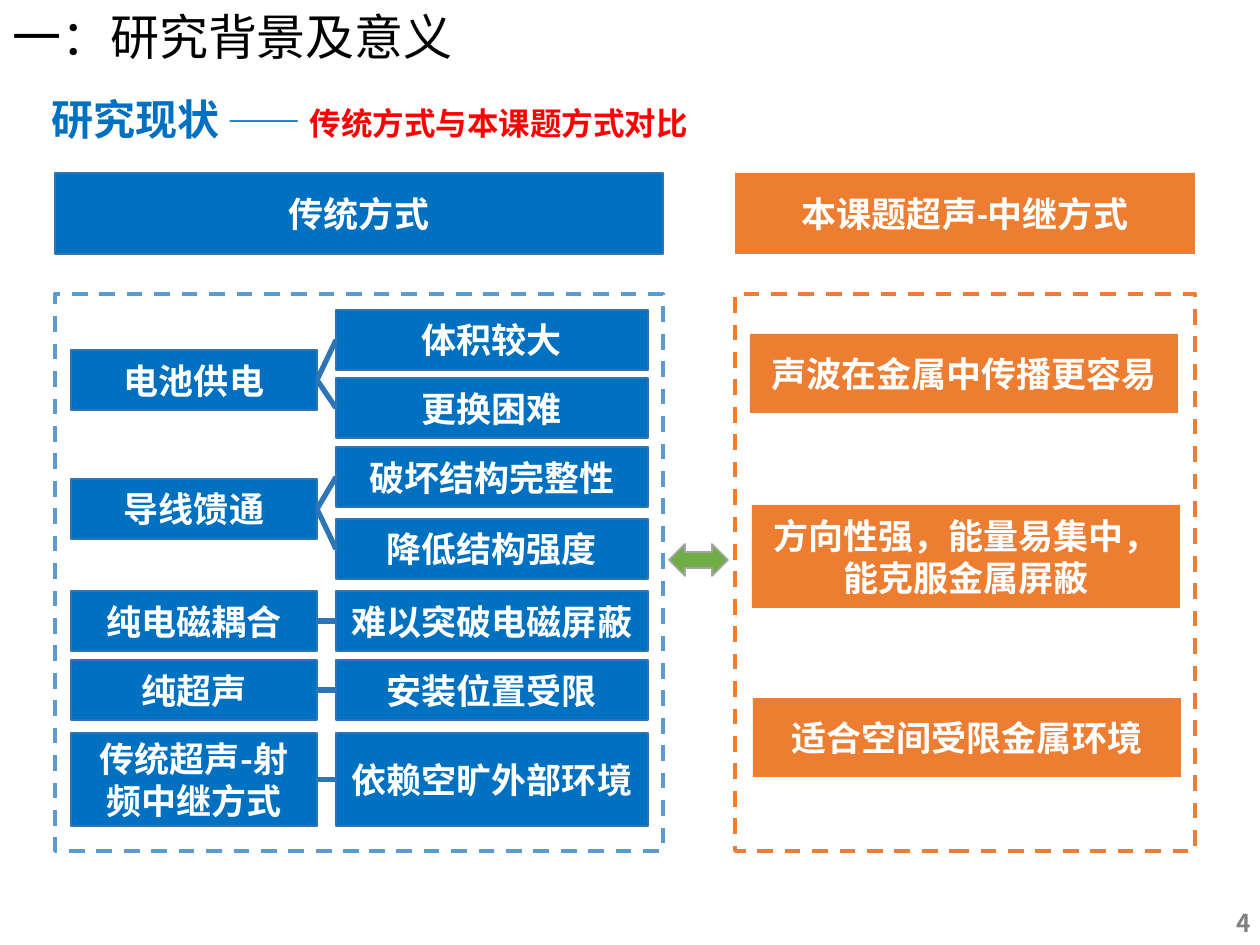
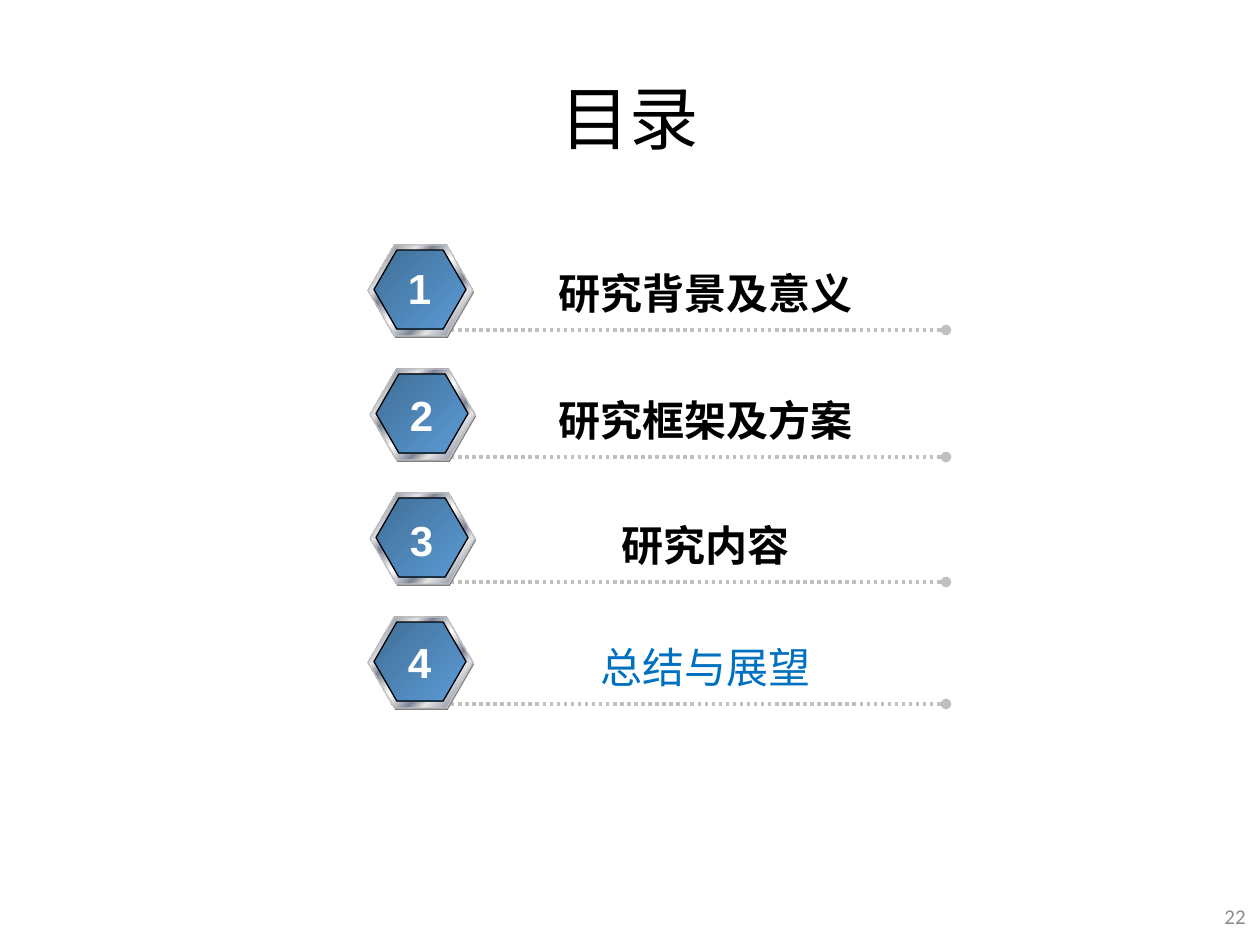
from lxml.etree import SubElement
from pptx import Presentation
from pptx.dml.color import RGBColor
from pptx.enum.dml import MSO_LINE as Dash
from pptx.enum.shapes import MSO_CONNECTOR as Link, MSO_SHAPE as Form
from pptx.enum.text import MSO_ANCHOR as Anchor, PP_ALIGN as Align
from pptx.oxml.ns import qn
from pptx.util import Emu, Pt

SCALE = 914400 / 126
CJK, ARIAL, CALIBRI = "Noto Sans CJK SC", "Arial", "Calibri"
WHITE, BLACK = RGBColor(255, 255, 255), RGBColor(0, 0, 0)
BLUE, EDGE = RGBColor(0, 112, 192), RGBColor(46, 117, 182)
SKY, STEEL = RGBColor(91, 155, 213), RGBColor(65, 111, 152)
ORANGE, GREEN = RGBColor(237, 125, 49), RGBColor(112, 173, 71)
RED = RGBColor(255, 0, 0)
GREY, SILVER = RGBColor(128, 128, 128), RGBColor(192, 192, 192)
ASH, PALE = RGBColor(165, 165, 165), RGBColor(140, 140, 140)
LIGHT, SHADE = RGBColor(230, 230, 230), RGBColor(125, 132, 150)

METAL = [(0, LIGHT), (8, SHADE), (26, LIGHT), (34, SHADE), (46, LIGHT), (50, WHITE),
         (54, LIGHT), (66, SHADE), (74, LIGHT), (92, SHADE), (100, LIGHT)]
GLOSS = [(0, STEEL), (100, SKY)]

METHODS = [
    (56, 60, "电池供电", [(16, "体积较大"), (84, "更换困难")]),
    (185, 60, "导线馈通", [(153, "破坏结构完整性"), (225, "降低结构强度")]),
    (297, 60, "纯电磁耦合", [(297, "难以突破电磁屏蔽")]),
    (366, 60, "纯超声", [(366, "安装位置受限")]),
    (439, 93, "传统超声-射频中继方式", [(439, "依赖空旷外部环境")]),
]
POINTS = [
    (15, 40, 79, "声波在金属中传播更容易"),
    (17, 211, 103, "方向性强，能量易集中，能克服金属屏蔽"),
    (18, 404, 79, "适合空间受限金属环境"),
]
TOPICS = [
    (368, 330, "研究背景及意义", BLACK, True),
    (370, 457, "研究框架及方案", BLACK, True),
    (370, 582, "研究内容", BLACK, True),
    (368, 704, "总结与展望", BLUE, False),
]


def px(*sizes):
    """Turn pixel lengths into EMU."""
    return [Emu(round(size * SCALE)) for size in sizes]


def style(run, size, face, color, bold=False):
    """Format one run, with its East Asian font."""
    font = run.font
    font.size, font.name, font.bold = Pt(size), face, bold
    font.color.rgb = color
    SubElement(run.font._element, qn("a:ea"), typeface=CJK)


def write(shape, text, *look, align=Align.CENTER, anchor=Anchor.MIDDLE, wrap=True):
    """Put one formatted paragraph into a shape and return it."""
    frame = shape.text_frame
    frame.text = text
    frame.word_wrap, frame.vertical_anchor = wrap, anchor
    para = frame.paragraphs[0]
    para.alignment = align
    style(para.runs[0], *look)
    return para


def label(slide, box, text, *look, **place):
    """Add a text box and return its paragraph."""
    return write(slide.shapes.add_textbox(*px(*box)), text, *look, **place)


def block(shapes, box, fill=None, edge=None, width=1, form=Form.RECTANGLE):
    """Add a flat preset shape."""
    shape = shapes.add_shape(form, *px(*box))
    shape.shadow.inherit = False
    if fill is None:
        shape.fill.background()
    else:
        shape.fill.solid()
        shape.fill.fore_color.rgb = fill
    if edge is None:
        shape.line.fill.background()
    else:
        shape.line.color.rgb, shape.line.width = edge, Pt(width)
    return shape


def line(slide, ends, color, width):
    """Add a straight connector without a shadow."""
    link = slide.shapes.add_connector(Link.STRAIGHT, *px(*ends))
    link.line.color.rgb, link.line.width = color, Pt(width)
    SubElement(link._element.spPr, qn("a:effectLst"))
    return link


def blend(shape, stops):
    """Fill a shape with a diagonal gradient."""
    shape.fill.gradient()
    shape.fill.gradient_angle = 315
    track = shape._element.spPr.find(qn("a:gradFill")).find(qn("a:gsLst"))
    for old in list(track):
        track.remove(old)
    for spot, color in stops:
        stop = SubElement(track, qn("a:gs"), pos=str(spot * 1000))
        SubElement(stop, qn("a:srgbClr"), val=str(color))


def panel(slide, left, width, title, face, fill, edge, frame):
    """Draw a column's header and its dashed frame."""
    head = block(slide.shapes, (left, 173, width, 81), fill, edge)
    write(head, title, 20, face, WHITE, True)
    border = block(slide.shapes, (left, 294, width, 557), None, frame, 2.25)
    border.line.dash_style = Dash.DASH


def methods(slide, left, top):
    """Draw each method joined to its drawbacks."""
    def cell(x, y, width, height, text):
        """Draw one blue cell."""
        box = block(slide.shapes, (left + x, top + y, width, height), BLUE, EDGE)
        write(box, text, 20, CJK, WHITE, True)
        return box

    for y, height, name, flaws in METHODS:
        cause = cell(16, y, 246, height, name)
        for drop, flaw in flaws:
            effect = cell(281, drop, 312, height, flaw)
            link = line(slide, (0, 0, 0, 0), EDGE, 3)
            link.begin_connect(cause, 3)
            link.end_connect(effect, 1)


def points(slide, left, top):
    """Draw the strong points of the new way."""
    for x, y, height, text in POINTS:
        box = block(slide.shapes, (left + x, top + y, 428, height), ORANGE)
        write(box, text, 20, CALIBRI, WHITE, True)


def heading(slide):
    """Write the section title and the line of topic below it."""
    label(slide, (0, 0, 630, 72), "一：研究背景及意义", 28, ARIAL, BLACK,
          align=Align.LEFT, anchor=Anchor.TOP)
    para = label(slide, (39, 87, 1022, 63), "研究现状", 24, CJK, BLUE, True,
                 align=Align.LEFT, anchor=Anchor.TOP)
    for text, size, color in ((" —— ", 21, BLUE), ("传统方式与本课题方式对比", 18, RED)):
        run = para.add_run()
        run.text = text
        style(run, size, CJK, color, True)


def compare(slide):
    """Build the slide that sets both ways side by side."""
    heading(slide)
    panel(slide, 55, 608, "传统方式", CJK, BLUE, EDGE, SKY)
    panel(slide, 735, 460, "本课题超声-中继方式", CALIBRI, ORANGE, None, ORANGE)
    methods(slide, 55, 294)
    points(slide, 735, 294)
    block(slide.shapes, (669, 544, 59, 32), GREEN, ASH, 1, Form.LEFT_RIGHT_ARROW)
    page = label(slide, (969, 895, 294, 50), "4", 14, CJK, GREY, True, align=Align.RIGHT)
    page.line_spacing = 1.2


def badge(slide, left, top):
    """Draw a glossy hexagon with a metal rim."""
    group = slide.shapes.add_group_shape()
    layers = [((1, 2, 105, 91), None, None), ((0, 0, 105, 91), SILVER, METAL),
              ((6, 5, 92, 79), BLACK, GLOSS)]
    for (x, y, width, height), edge, stops in layers:
        shape = block(group.shapes, (left + x, top + y, width, height),
                      GREY, edge, 0.75, Form.HEXAGON)
        shape.adjustments[0], shape.adjustments[1] = 0.289, 1.155
        if stops:
            blend(shape, stops)


def topic(slide, left, top, base, number, text, color, bold):
    """Draw one entry: badge, number, name and dotted rule."""
    rule = line(slide, (451, base, 946, base), SILVER, 2)
    rule.line.dash_style = Dash.ROUND_DOT
    SubElement(rule._element.spPr.find(qn("a:ln")), qn("a:tailEnd"), type="oval")
    badge(slide, left, top)
    label(slide, (left + 27, base - 74, 49, 63), str(number), 24, ARIAL, WHITE, True,
          anchor=Anchor.TOP, wrap=False)
    label(slide, (483, base - 69, 445, 63), text, 24, CJK, color, bold, anchor=Anchor.TOP)


def agenda(slide):
    """Build the table of contents."""
    title = label(slide, (63, 72, 1134, 100), "目录", 39.6, CALIBRI, BLACK)
    title.line_spacing = 0.9
    for step, (left, base, *entry) in enumerate(TOPICS):
        topic(slide, left, 245 + 124 * step, base, step + 1, *entry)
    label(slide, (974, 891, 284, 50), "22", 12, CALIBRI, PALE, align=Align.RIGHT)


def main():
    """Build and save the deck."""
    deck = Presentation()
    deck.slide_width, deck.slide_height = px(1260, 945)
    for build in (compare, agenda):
        build(deck.slides.add_slide(deck.slide_layouts[6]))
    deck.save("out.pptx")


if __name__ == "__main__":
    main()
